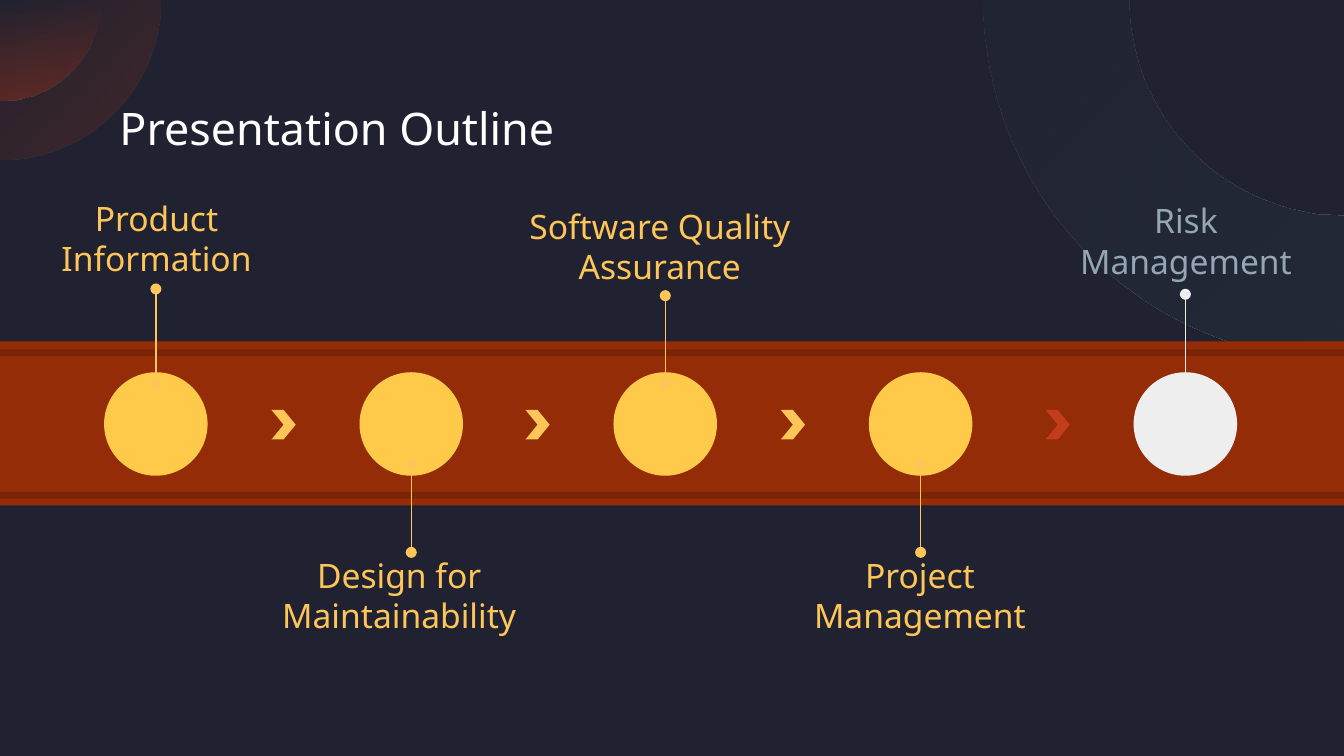
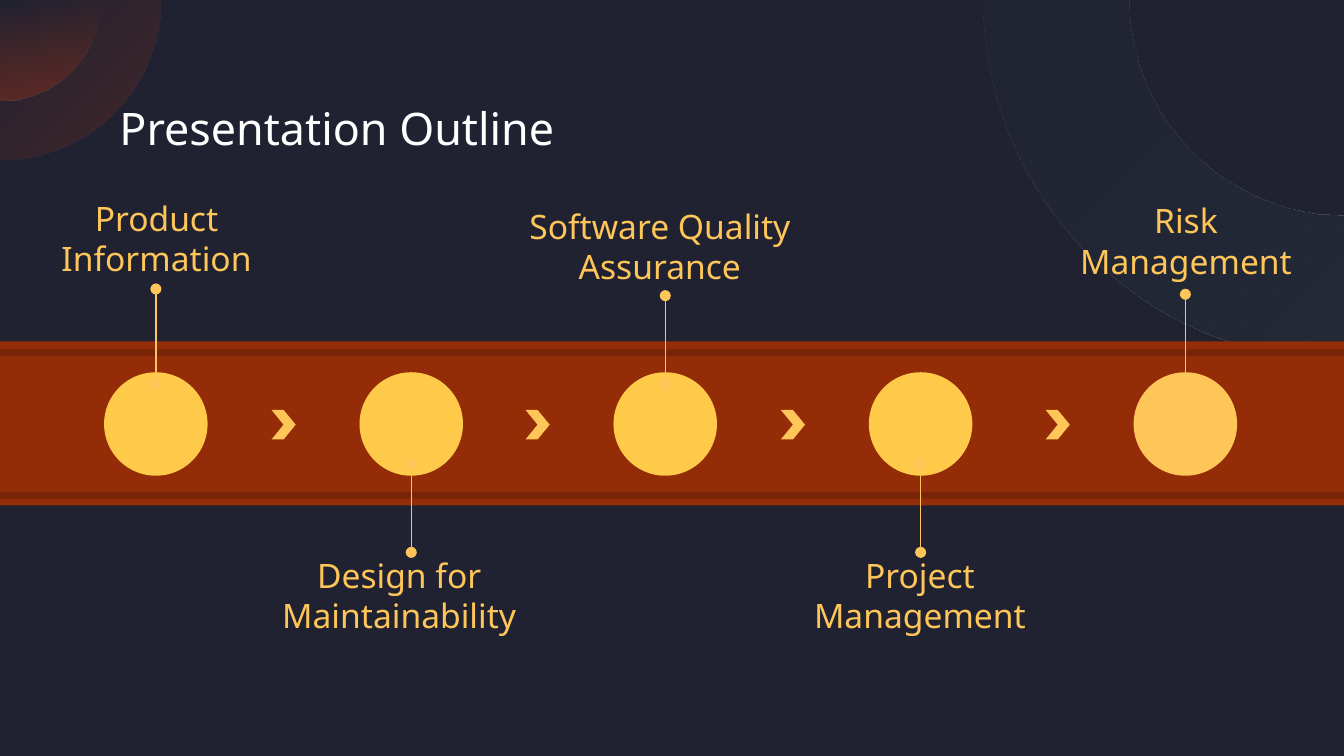
from dataclasses import dataclass
from math import cos, radians, sin

from lxml.etree import SubElement
from pptx import Presentation
from pptx.dml.color import RGBColor
from pptx.enum.shapes import MSO_CONNECTOR, MSO_SHAPE
from pptx.enum.text import MSO_ANCHOR, PP_ALIGN
from pptx.oxml.ns import qn
from pptx.util import Inches, Pt

COLORS = {
    "background": "202231",
    "title": "FFFFFF",
    "ember": "9C3218",
    "slate": "252C3A",
    "band": "942D07",
    "stripe": "782406",
    "circle": "FFC94A",
    "accent": "FEC659",
    "pending_circle": "EEEEEE",
    "pending_chevron": "C33D1D",
    "pending_label": "94A5B3",
}
FONT = "Noto Sans"
SLIDE_WIDTH = 10
SLIDE_HEIGHT = SLIDE_WIDTH * 9 / 16
CIRCLE_SIZE = 0.77
CIRCLE_TOP = 2.77
CHEVRON_OFFSET = 1.04
LABEL_HEIGHT = 0.4


@dataclass
class Stop:
    """One step of the outline: its centre, label box and stem."""

    text: str
    center: float
    label_left: float
    label_top: float
    label_width: float
    stem_top: float
    stem_bottom: float


STOPS = [
    Stop("Product Information", 1.16, 0.35, 1.77, 1.63, 2.15, 2.86),
    Stop("Design for Maintainability", 3.06, 1.93, 4.43, 2.08, 3.45, 4.11),
    Stop("Software Quality Assurance", 4.95, 3.68, 1.83, 2.46, 2.2, 2.86),
    Stop("Project Management", 6.85, 5.78, 4.43, 2.13, 3.45, 4.11),
    Stop("Risk Management", 8.82, 7.86, 1.79, 1.93, 2.19, 2.85),
]
DONE = {"circle": "circle", "chevron": "accent", "label": "accent", "stem": "accent"}
CURRENT = {**DONE, "circle": "accent"}
PENDING = {
    "circle": "pending_circle",
    "chevron": "pending_chevron",
    "label": "pending_label",
    "stem": "pending_circle",
}


def color(name):
    """Return the named colour."""
    return RGBColor.from_string(COLORS[name])


def add_preset(slide, preset, left, top, width, height, fill):
    """Add a flat preset shape without outline."""
    shape = slide.shapes.add_shape(
        preset, Inches(left), Inches(top), Inches(width), Inches(height))
    shape.shadow.inherit = False
    shape.fill.solid()
    shape.fill.fore_color.rgb = color(fill)
    shape.line.fill.background()


def arc_points(center_x, radius, start):
    """Return points of a quarter arc around a centre on the top edge."""
    angles = [radians(start + step) for step in range(0, 91, 2)]
    return [(Inches(center_x + radius * cos(angle)), Inches(radius * sin(angle)))
            for angle in angles]


def add_corner_ring(slide, center_x, outer, inner, start, fill, opacities, angle):
    """Add a quarter disc or ring with a fading gradient."""
    inside = arc_points(center_x, inner, start)[::-1] if inner else [(Inches(center_x), 0)]
    points = arc_points(center_x, outer, start) + inside
    builder = slide.shapes.build_freeform(*points[0])
    builder.add_line_segments(points[1:])
    shape = builder.convert_to_shape()
    shape.shadow.inherit = False
    shape.line.fill.background()
    shape.fill.gradient()
    shape.fill.gradient_angle = angle
    for stop, position in zip(shape.fill.gradient_stops, (0, 1)):
        stop.color.rgb = color(fill)
        stop.position = position
    for element, opacity in zip(shape.element.iter(qn("a:gs")), opacities):
        SubElement(element[0], qn("a:alpha"), val=str(opacity * 1000))


def add_text(slide, text, left, top, width, height, size, fill,
             alignment=PP_ALIGN.LEFT, anchor=MSO_ANCHOR.TOP):
    """Add a wrapped text box with one paragraph."""
    shape = slide.shapes.add_textbox(
        Inches(left), Inches(top), Inches(width), Inches(height))
    frame = shape.text_frame
    frame.word_wrap = True
    frame.vertical_anchor = anchor
    frame.margin_left = frame.margin_right = Inches(0.1)
    frame.margin_top = frame.margin_bottom = Inches(0.1)
    frame.text = text
    paragraph = frame.paragraphs[0]
    paragraph.alignment = alignment
    font = paragraph.runs[0].font
    font.name = FONT
    font.size = Pt(size)
    font.color.rgb = color(fill)


def add_stem(slide, center, top, bottom, fill):
    """Add a vertical line with a dot at each end."""
    connector = slide.shapes.add_connector(
        MSO_CONNECTOR.STRAIGHT, Inches(center), Inches(top), Inches(center), Inches(bottom))
    connector.line.color.rgb = color(fill)
    connector.line.width = Pt(0.75)
    line = connector.element.spPr.find(qn("a:ln"))
    for end in ("a:headEnd", "a:tailEnd"):
        SubElement(line, qn(end), type="oval")
    SubElement(connector.element.spPr, qn("a:effectLst"))


def add_stop(slide, stop, palette, has_chevron):
    """Add a step with its circle, label, stem and leading chevron."""
    add_preset(slide, MSO_SHAPE.OVAL, stop.center - CIRCLE_SIZE / 2, CIRCLE_TOP,
               CIRCLE_SIZE, CIRCLE_SIZE, palette["circle"])
    if has_chevron:
        add_preset(slide, MSO_SHAPE.CHEVRON, stop.center - CHEVRON_OFFSET, 3.05,
                   0.18, 0.22, palette["chevron"])
    add_text(slide, stop.text, stop.label_left, stop.label_top, stop.label_width,
             LABEL_HEIGHT, 18, palette["label"], PP_ALIGN.CENTER, MSO_ANCHOR.BOTTOM)
    add_stem(slide, stop.center, stop.stem_top, stop.stem_bottom, palette["stem"])


def add_frame(slide):
    """Add the background, corner rings, title and band."""
    slide.background.fill.solid()
    slide.background.fill.fore_color.rgb = color("background")
    add_corner_ring(slide, 0, 1.19, 0, 0, "ember", (30, 0), 135)
    add_corner_ring(slide, 0, 0.75, 0, 0, "ember", (42, 0), 90)
    add_corner_ring(slide, SLIDE_WIDTH, 2.68, 1.6, 90, "slate", (75, 20), 135)
    add_text(slide, "Presentation Outline", 0.79, 0.65, 8.48, 0.63, 24, "title")
    add_preset(slide, MSO_SHAPE.RECTANGLE, 0, 2.54, SLIDE_WIDTH, 1.22, "band")
    for top in (2.6, 3.66):
        add_preset(slide, MSO_SHAPE.RECTANGLE, 0, top, SLIDE_WIDTH, 0.05, "stripe")


def add_outline_slide(presentation, last_palette):
    """Add an outline slide whose last step has its own palette."""
    slide = presentation.slides.add_slide(presentation.slide_layouts[6])
    add_frame(slide)
    for index, stop in enumerate(STOPS):
        palette = last_palette if stop is STOPS[-1] else DONE
        add_stop(slide, stop, palette, index > 0)


def main():
    """Build the presentation and save it."""
    presentation = Presentation()
    presentation.slide_width = Inches(SLIDE_WIDTH)
    presentation.slide_height = Inches(SLIDE_HEIGHT)
    for last_palette in (PENDING, CURRENT):
        add_outline_slide(presentation, last_palette)
    presentation.save("out.pptx")


if __name__ == "__main__":
    main()
